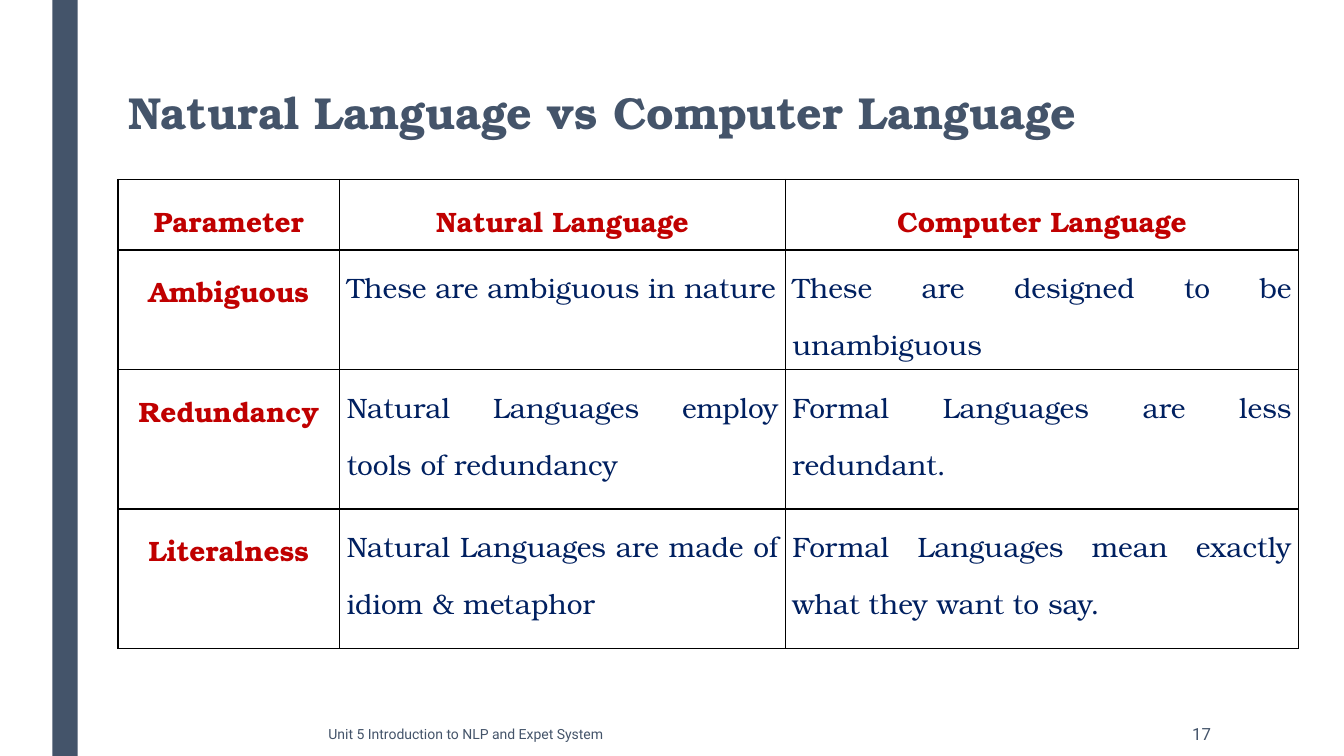
"""Build the slide comparing natural and computer languages."""
import dataclasses

import lxml.etree
import pptx
import pptx.dml.color
import pptx.enum.shapes
import pptx.enum.text
import pptx.oxml.ns
import pptx.util

Inches = pptx.util.Inches
ALIGN = pptx.enum.text.PP_ALIGN
ANCHOR = pptx.enum.text.MSO_ANCHOR


@dataclasses.dataclass(frozen=True)
class Theme:
    serif: str = "TeX Gyre Bonum"
    sans: str = "Roboto"
    slate: str = "44546A"
    red: str = "C00000"
    navy: str = "002060"
    border: str = "000000"
    title_size: int = 32
    table_size: int = 20
    footer_size: int = 10
    number_size: int = 12
    spacing: float = 1.5


def assign(target, values):
    for name, value in values.items():
        setattr(target, name, value)


def color(value):
    return pptx.dml.color.RGBColor.from_string(value)


class SlideBuilder:
    def __init__(self, slide, theme):
        self.slide = slide
        self.theme = theme

    def add_text(self, frame, text, font, tint, paragraph):
        frame.word_wrap = True
        para = frame.paragraphs[0]
        assign(para, paragraph)
        span = para.add_run()
        span.text = text
        assign(span.font, font)
        span.font.color.rgb = color(tint)

    def bar(self, bounds, tint):
        shape = self.slide.shapes.add_shape(
            pptx.enum.shapes.MSO_SHAPE.RECTANGLE, *map(Inches, bounds))
        shape.shadow.inherit = False
        shape.fill.solid()
        shape.fill.fore_color.rgb = color(tint)
        shape.line.fill.background()

    def title(self, text, bounds):
        box = self.slide.shapes.title
        assign(box, dict(zip(("left", "top", "width", "height"), map(Inches, bounds))))
        assign(box.text_frame, {"vertical_anchor": ANCHOR.TOP,
                                "auto_size": pptx.enum.text.MSO_AUTO_SIZE.NONE})
        font = {"name": self.theme.serif, "size": pptx.util.Pt(self.theme.title_size),
                "bold": True}
        self.add_text(box.text_frame, text, font, self.theme.slate,
                      {"alignment": ALIGN.JUSTIFY, "line_spacing": self.theme.spacing})

    def label(self, text, bounds, size, alignment):
        box = self.slide.shapes.add_textbox(*map(Inches, bounds))
        box.text_frame.vertical_anchor = ANCHOR.MIDDLE
        font = {"name": self.theme.sans, "size": pptx.util.Pt(size)}
        self.add_text(box.text_frame, text, font, self.theme.slate,
                      {"alignment": alignment})

    def outline(self, cell):
        properties = cell._tc.get_or_add_tcPr()
        qn = pptx.oxml.ns.qn
        for index, side in enumerate(("lnL", "lnR", "lnT", "lnB")):
            line = lxml.etree.Element(qn(f"a:{side}"), w=str(int(pptx.util.Pt(1))))
            fill = lxml.etree.SubElement(line, qn("a:solidFill"))
            lxml.etree.SubElement(fill, qn("a:srgbClr"), val=self.theme.border)
            properties.insert(index, line)

    def table(self, rows, left, top, widths, heights):
        bounds = (left, top, sum(widths), sum(heights))
        table = self.slide.shapes.add_table(
            len(rows), len(widths), *map(Inches, bounds)).table
        assign(table, {"first_row": False, "horz_banding": False})
        for column, width in zip(table.columns, widths):
            column.width = Inches(width)
        for row, height in zip(table.rows, heights):
            row.height = Inches(height)
        margins = {"margin_left": Inches(0.07), "margin_right": Inches(0.07),
                   "margin_top": 0, "margin_bottom": 0}
        for row_index, texts in enumerate(rows):
            for column_index, text in enumerate(texts):
                heading = row_index == 0 or column_index == 0
                cell = table.cell(row_index, column_index)
                assign(cell, margins)
                cell.fill.background()
                self.outline(cell)
                font = {"name": self.theme.serif, "bold": heading,
                        "size": pptx.util.Pt(self.theme.table_size)}
                self.add_text(cell.text_frame, text, font,
                              self.theme.red if heading else self.theme.navy,
                              {"alignment": ALIGN.CENTER if heading else ALIGN.JUSTIFY,
                               "line_spacing": self.theme.spacing})


COMPARISON = [
    ("Parameter", "Natural Language", "Computer Language"),
    ("Ambiguous", "These are ambiguous in nature",
     "These are designed to be unambiguous"),
    ("Redundancy", "Natural Languages employ tools of redundancy",
     "Formal Languages are less redundant."),
    ("Literalness", "Natural Languages are made of idiom & metaphor",
     "Formal Languages mean exactly what they want to say."),
]

theme = Theme()
deck = pptx.Presentation()
assign(deck, {"slide_width": Inches(13.33), "slide_height": Inches(7.5)})
builder = SlideBuilder(deck.slides.add_slide(deck.slide_layouts[5]), theme)
builder.bar((0.52, 0, 0.25, 7.5), theme.slate)
builder.title("Natural Language vs Computer Language", (1.17, 0.52, 10.5, 0.82))
builder.table(COMPARISON, 1.17, 1.78, (2.2, 4.42, 5.09), (0.7, 1.19, 1.38, 1.38))
builder.label("Unit 5 Introduction to NLP and Expet System",
              (3.16, 7.06, 6.87, 0.44), theme.footer_size, ALIGN.LEFT)
builder.label("17", (10.36, 7.06, 1.75, 0.44), theme.number_size, ALIGN.RIGHT)
deck.save("out.pptx")
